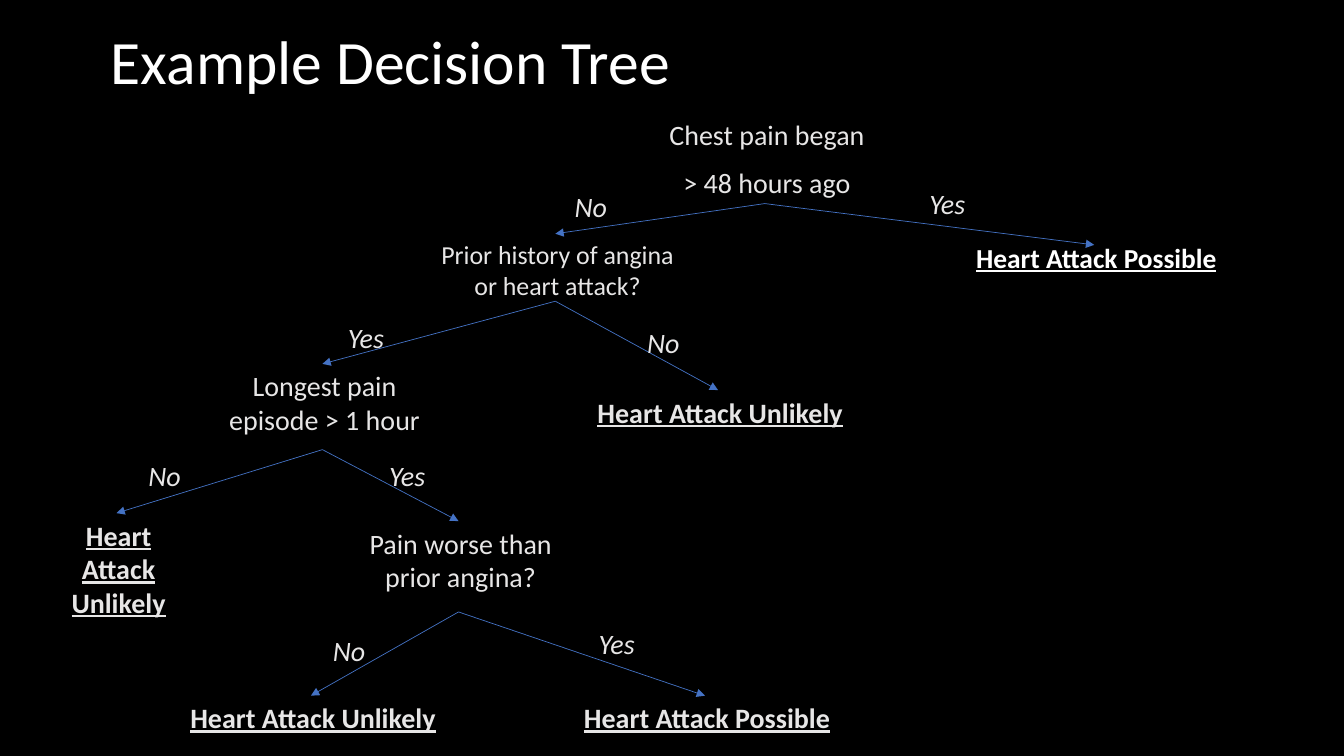
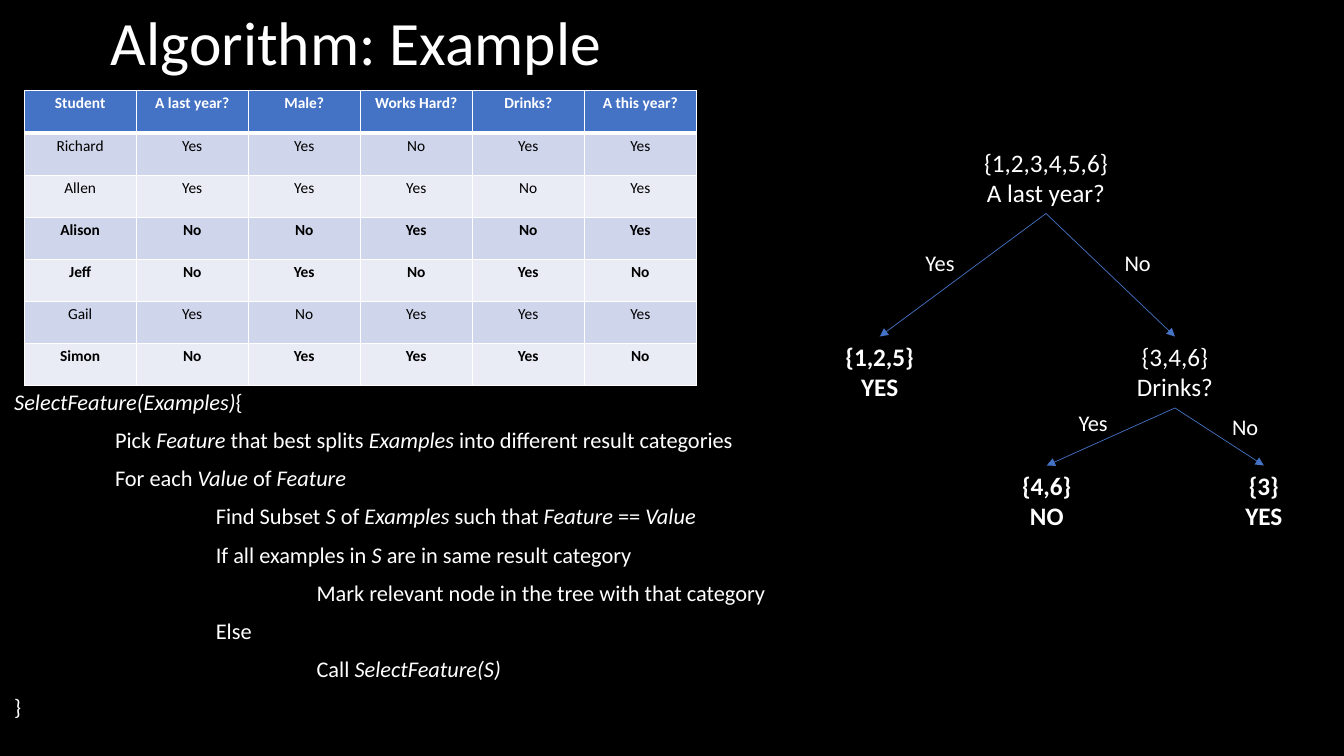
from lxml import etree
from pptx import Presentation
from pptx.dml.color import RGBColor
from pptx.enum.shapes import MSO_CONNECTOR
from pptx.enum.text import MSO_ANCHOR, MSO_AUTO_SIZE, PP_ALIGN
from pptx.oxml.ns import qn
from pptx.util import Cm, Pt

STRAIGHT = MSO_CONNECTOR.STRAIGHT
LEFT, CENTER = PP_ALIGN.LEFT, PP_ALIGN.CENTER
MIDDLE = MSO_ANCHOR.MIDDLE
NO_AUTOFIT = MSO_AUTO_SIZE.NONE
TOP_SIDE, BOTTOM_SIDE = 0, 2

rgb = RGBColor.from_string
FONT = "Calibri"
BLACK, WHITE, PALE, BLUE = "000000", "FFFFFF", "E7E6E6", "4472C4"
BANDS = ["CFD5EA", "E9EBF5"]


def add_text(slide, box, lines, size, color, insets=(0, 0), align=CENTER,
             bold=False, underline=False, gap=0, spacing=1):
    """Each line is (indent level, text); text between asterisks is italic."""
    shape = slide.shapes.add_textbox(*[Cm(length) for length in box])
    frame = shape.text_frame
    frame.word_wrap = True
    frame.margin_left, frame.margin_right = [Cm(inset) for inset in insets]
    for number, (level, text) in enumerate(lines):
        paragraph = frame.paragraphs[0] if number == 0 else frame.add_paragraph()
        paragraph.alignment = align
        paragraph.line_spacing = spacing
        if number:
            paragraph.space_before = Pt(gap)
        if level:
            paragraph._p.get_or_add_pPr().set("marL", str(Cm(2.54 * level)))
        for part, piece in enumerate(text.split("*")):
            if piece:
                run = paragraph.add_run()
                run.text = piece
                run.font.name, run.font.size = FONT, Pt(size)
                run.font.color.rgb = rgb(color)
                run.font.bold, run.font.underline = bold, underline
                run.font.italic = part % 2 == 1
    return shape


def add_branch(slide, parent, child):
    branch = slide.shapes.add_connector(STRAIGHT, 0, 0, 0, 0)
    branch.begin_connect(parent, BOTTOM_SIDE)
    branch.end_connect(child, TOP_SIDE)
    branch.line.color.rgb = rgb(BLUE)
    branch.line.width = Pt(0.5)
    properties = branch._element.spPr
    etree.SubElement(properties.find(qn("a:ln")), qn("a:tailEnd"), type="triangle")
    etree.SubElement(properties, qn("a:effectLst"))


# Presentation, background and titles
prs = Presentation()
prs.slide_width, prs.slide_height = Cm(33.87), Cm(19.05)
background = prs.slide_master.background.fill
background.solid()
background.fore_color.rgb = rgb(BLACK)

slides = []
for heading, top, height in [("Example Decision Tree", 0.28, 2.69),
                             ("Algorithm: Example", 0.18, 1.96)]:
    slide = prs.slides.add_slide(prs.slide_layouts[5])
    title = slide.shapes.title
    title.left, title.top, title.width, title.height = Cm(2.54), Cm(top), Cm(28.75), Cm(height)
    title.text_frame.auto_size = NO_AUTOFIT
    title.text_frame.vertical_anchor = MIDDLE
    paragraph = title.text_frame.paragraphs[0]
    paragraph.alignment = LEFT
    paragraph.line_spacing = 0.9
    run = paragraph.add_run()
    run.text = heading
    run.font.name, run.font.size = FONT, Pt(44)
    run.font.color.rgb = rgb(WHITE)
    slides.append(slide)
diagnosis_slide, algorithm_slide = slides

# Diagnosis tree: questions
INSETS = (0.36, 0.25)
questions = {
    "onset": ((16.33, 2.84, 5.89, 2.29), ["Chest pain began", "> 48 hours ago"], 20),
    "history": ((10.44, 5.89, 7.11, 1.7), ["Prior history of angina or heart attack?"], 18.5),
    "duration": ((5.18, 9.17, 5.89, 2.16), ["Longest pain episode > 1 hour"], 20),
    "severity": ((8.61, 13.13, 5.89, 2.29), ["Pain worse than prior angina?"], 20),
}
nodes = {}
for key, (box, lines, size) in questions.items():
    nodes[key] = add_text(diagnosis_slide, box, [(0, line) for line in lines],
                          size, PALE, INSETS, gap=10)

# Diagnosis tree: outcomes
outcomes = {
    "late": ((23.98, 6.17, 7.19, 1.07), "Possible", 19.6, WHITE, 0.7),
    "no history": ((14.5, 9.83, 7.19, 1.07), "Unlikely", 20, PALE, 1),
    "short": ((1.17, 12.93, 3.53, 2.72), "Unlikely", 20, PALE, 1),
    "not worse": ((4.24, 17.53, 7.19, 1.07), "Unlikely", 20, PALE, 1),
    "worse": ((14.17, 17.53, 7.19, 1.07), "Possible", 20, PALE, 1),
}
for key, (box, verdict, size, color, spacing) in outcomes.items():
    nodes[key] = add_text(diagnosis_slide, box, [(0, "Heart Attack " + verdict)], size, color,
                          INSETS, bold=True, underline=True, spacing=spacing)

# Diagnosis tree: branches and their answers
for parent, child, answer, left, top in [
    ("onset", "history", "No", 14.12, 4.65),
    ("onset", "late", "Yes", 23.06, 4.57),
    ("history", "no history", "No", 15.95, 8.08),
    ("history", "duration", "Yes", 8.41, 7.95),
    ("duration", "short", "No", 3.38, 11.43),
    ("duration", "severity", "Yes", 9.45, 11.43),
    ("severity", "not worse", "No", 8.03, 15.85),
    ("severity", "worse", "Yes", 14.73, 15.65),
]:
    add_branch(diagnosis_slide, nodes[parent], nodes[child])
    add_text(diagnosis_slide, (left, top, 1.63, 1.14), [(0, f"*{answer}*")],
             20, PALE, INSETS, align=LEFT)

# Pseudocode
add_text(algorithm_slide, (0, 9.73, 21.77, 9.32), [
    (0, "*SelectFeature(Examples)*{"),
    (1, "Pick *Feature* that best splits *Examples* into different result categories"),
    (1, "For each *Value* of *Feature*"),
    (2, "Find Subset *S* of *Examples* such that *Feature* == *Value*"),
    (2, "If all examples in *S* are in same result category"),
    (3, "Mark relevant node in the tree with that category"),
    (2, "Else"),
    (3, "Call *SelectFeature(S)*"),
    (0, "}"),
], 16, WHITE, INSETS, align=LEFT, gap=10, spacing=0.9)

# Student table
students = [
    ["Student", "A last year?", "Male?", "Works Hard?", "Drinks?", "A this year?"],
    ["Richard", "Yes", "Yes", "No", "Yes", "Yes"],
    ["Allen", "Yes", "Yes", "Yes", "No", "Yes"],
    ["Alison", "No", "No", "Yes", "No", "Yes"],
    ["Jeff", "No", "Yes", "No", "Yes", "No"],
    ["Gail", "Yes", "No", "Yes", "Yes", "Yes"],
    ["Simon", "No", "Yes", "Yes", "Yes", "No"],
]
table = algorithm_slide.shapes.add_table(
    len(students), len(students[0]), Cm(0.61), Cm(2.29), Cm(16.94), Cm(7.44)).table
for row, student in enumerate(students):
    is_header = row == 0
    for column, value in enumerate(student):
        cell = table.cell(row, column)
        cell.margin_left = cell.margin_right = Cm(0.15)
        cell.margin_top = cell.margin_bottom = Cm(0.08)
        borders = cell._tc.get_or_add_tcPr()
        for side in ("lnL", "lnR", "lnT", "lnB"):
            thick = (is_header and side == "lnB") or (row == 1 and side == "lnT")
            border = etree.SubElement(borders, qn("a:" + side), w=str(Pt(3 if thick else 1)))
            ink = etree.SubElement(border, qn("a:solidFill"))
            etree.SubElement(ink, qn("a:srgbClr"), val=WHITE)
        cell.fill.solid()
        cell.fill.fore_color.rgb = rgb(BLUE if is_header else BANDS[(row - 1) % 2])
        paragraph = cell.text_frame.paragraphs[0]
        paragraph.alignment = CENTER
        run = paragraph.add_run()
        run.text = value
        run.font.name, run.font.size = FONT, Pt(11)
        run.font.bold = is_header or student[1] == "No"
        run.font.color.rgb = rgb(WHITE if is_header else BLACK)

# Student tree: example subsets
subsets = {
    "all": ((24.38, 3.58, 3.96, 1.8), "{1,2,3,4,5,6}", "A last year?", False),
    "had A": ((20.95, 8.48, 2.44, 1.8), "{1,2,5}", "YES", True),
    "no A": ((28.3, 8.48, 2.62, 1.8), "{3,4,6}", "Drinks?", False),
    "drinks": ((25.4, 11.73, 1.96, 1.8), "{4,6}", "NO", True),
    "sober": ((30.96, 11.73, 1.78, 1.8), "{3}", "YES", True),
}
nodes = {}
for key, (box, members, caption, is_leaf) in subsets.items():
    nodes[key] = add_text(algorithm_slide, box, [(0, members), (0, caption)],
                          18, WHITE, bold=is_leaf)

# Student tree: branches and their answers
for parent, child, answer, left, top in [
    ("all", "had A", "Yes", 23.04, 6.15),
    ("all", "no A", "No", 28.02, 6.15),
    ("no A", "drinks", "Yes", 26.9, 10.19),
    ("no A", "sober", "No", 30.73, 10.29),
]:
    add_branch(algorithm_slide, nodes[parent], nodes[child])
    add_text(algorithm_slide, (left, top, 1.3, 0.94), [(0, answer)], 16, WHITE)

prs.save("out.pptx")
